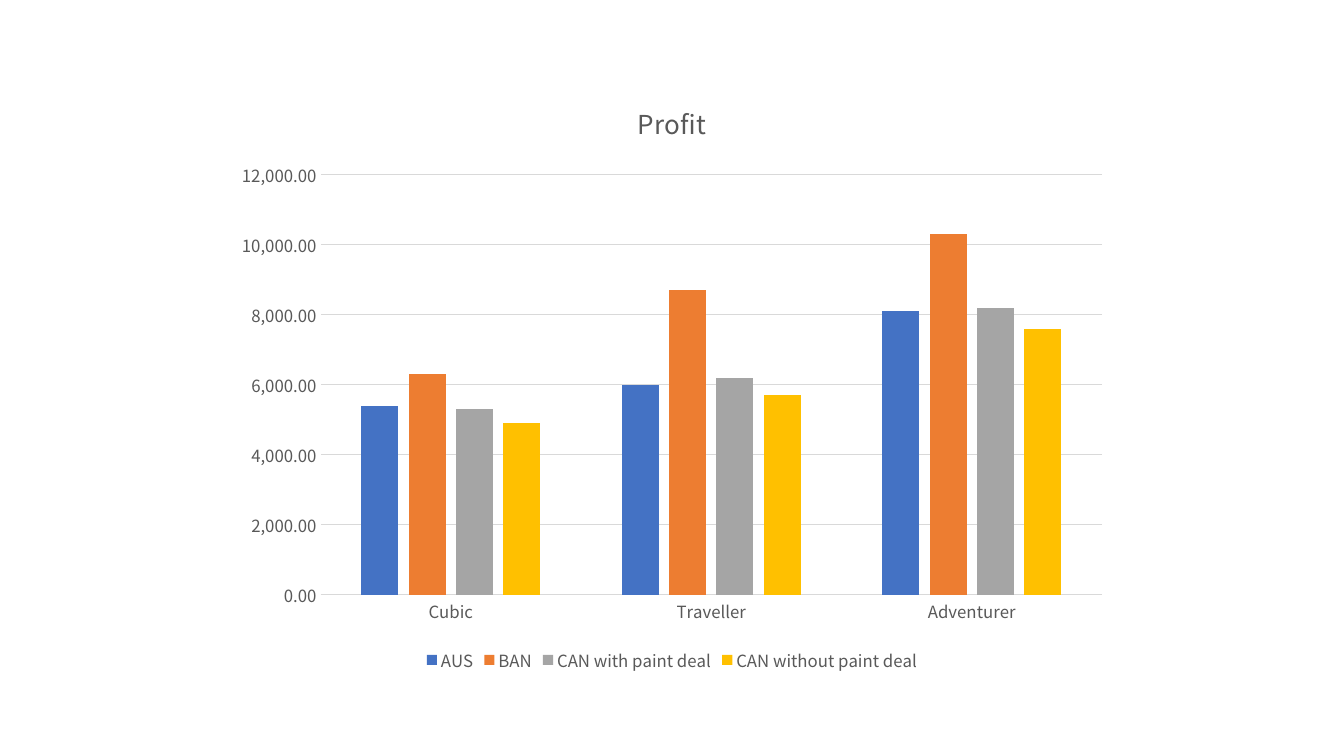
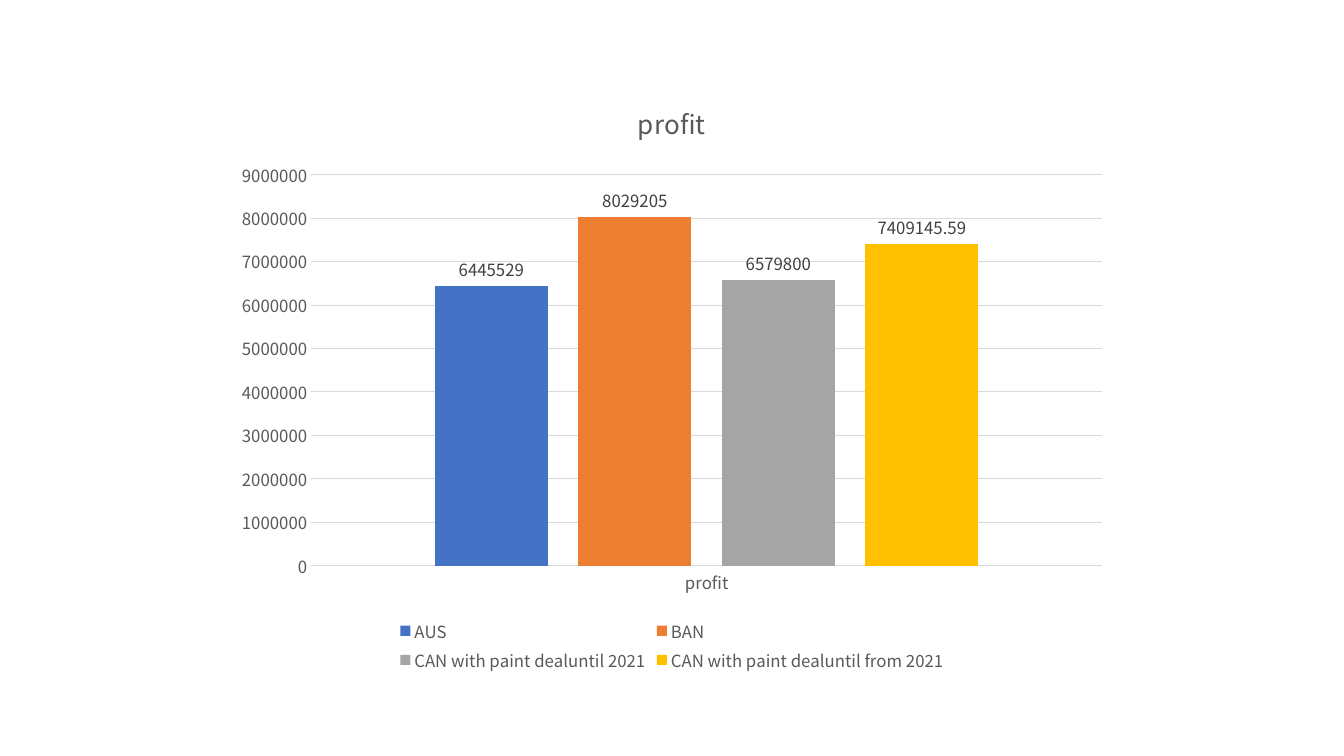
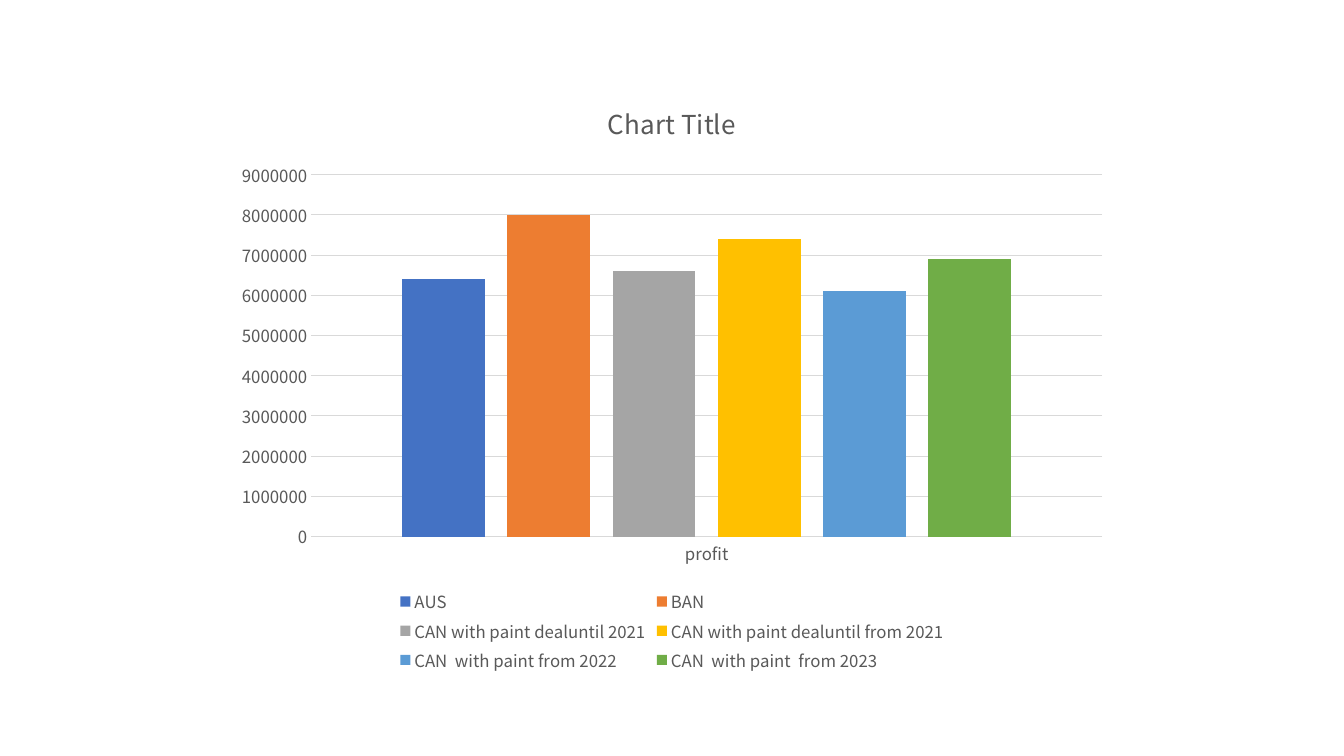
from pptx import Presentation
from pptx import util as u
from pptx.chart.data import CategoryChartData
from pptx.dml.color import RGBColor
from pptx.enum import chart as ce

FONT = "Noto Sans CJK KR"
TEXT = RGBColor(0x59, 0x59, 0x59)
LABEL = RGBColor(0x40, 0x40, 0x40)
GRID = RGBColor(0xD9, 0xD9, 0xD9)
SERIES_COLORS = [
    RGBColor(0x44, 0x72, 0xC4),
    RGBColor(0xED, 0x7D, 0x31),
    RGBColor(0xA5, 0xA5, 0xA5),
    RGBColor(0xFF, 0xC0, 0x00),
    RGBColor(0x5B, 0x9B, 0xD5),
    RGBColor(0x70, 0xAD, 0x47),
]

MODELS = {
    "AUS": [5400, 6000, 8100],
    "BAN": [6300, 8700, 10300],
    "CAN with paint deal": [5300, 6200, 8200],
    "CAN without paint deal": [4900, 5700, 7600],
}
PAINT_DEALS = {
    "AUS": [6445529],
    "BAN": [8029205],
    "CAN with paint dealuntil 2021": [6579800],
    "CAN with paint dealuntil from 2021": [7409145.59],
}
ALL_YEARS = {
    "AUS": [6400000],
    "BAN": [8000000],
    "CAN with paint dealuntil 2021": [6600000],
    "CAN with paint dealuntil from 2021": [7400000],
    "CAN\u00a0 with paint from 2022": [6100000],
    "CAN\u00a0 with paint\u00a0 from 2023": [6900000],
}

prs = Presentation()
prs.slide_width, prs.slide_height = u.Inches(13.33), u.Inches(7.5)
WIDTH = prs.slide_width * 2 // 3
HEIGHT = WIDTH * 2 // 3
CHART_BOX = ((prs.slide_width - WIDTH) // 2, (prs.slide_height - HEIGHT) // 2, WIDTH, HEIGHT)


def style_font(font, size=12, color=TEXT):
    font.name = FONT
    font.size = u.Pt(size)
    font.bold = False
    font.color.rgb = color


def style_line(line):
    line.color.rgb = GRID
    line.width = u.Pt(0.75)


def style_axes(chart, top, step, number_format):
    for axis in (chart.category_axis, chart.value_axis):
        axis.major_tick_mark = axis.minor_tick_mark = ce.XL_TICK_MARK.NONE
        style_font(axis.tick_labels.font)
    style_line(chart.category_axis.format.line)
    values = chart.value_axis
    values.minimum_scale, values.maximum_scale, values.major_unit = 0, top, step
    values.format.line.fill.background()
    values.has_major_gridlines = True
    style_line(values.major_gridlines.format.line)
    values.tick_labels.number_format = number_format
    values.tick_labels.number_format_is_linked = False


def profit_chart(s, box, title, categories, series, top, step, number_format="General", labels=False):
    data = CategoryChartData()
    data.categories = categories
    for name, values in series.items():
        data.add_series(name, values)
    chart = s.shapes.add_chart(ce.XL_CHART_TYPE.COLUMN_CLUSTERED, *box, data).chart
    style_font(chart.font)

    chart.has_title = True
    tf = chart.chart_title.text_frame
    tf.text = title
    style_font(tf.paragraphs[0].runs[0].font, 18.6)
    chart.chart_title.include_in_layout = False

    chart.has_legend = True
    chart.legend.position = ce.XL_LEGEND_POSITION.BOTTOM
    chart.legend.include_in_layout = False
    style_font(chart.legend.font)
    style_axes(chart, top, step, number_format)

    plot = chart.plots[0]
    plot.gap_width, plot.overlap = 219, -27
    plot.vary_by_categories = False
    for bars, color in zip(plot.series, SERIES_COLORS):
        bars.format.fill.solid()
        bars.format.fill.fore_color.rgb = color
        bars.invert_if_negative = False
        if labels:
            bars.data_labels.show_value = True
            bars.data_labels.position = ce.XL_LABEL_POSITION.OUTSIDE_END
            style_font(bars.data_labels.font, color=LABEL)


def add_slide():
    return prs.slides.add_slide(prs.slide_layouts[6])


profit_chart(add_slide(), CHART_BOX, "Profit", ["Cubic", "Traveller", "Adventurer"], MODELS,
             12000, 2000, "#,##0.00")
profit_chart(add_slide(), CHART_BOX, "profit", ["profit"], PAINT_DEALS, 9000000, 1000000, labels=True)
profit_chart(add_slide(), CHART_BOX, "Chart Title", ["profit"], ALL_YEARS, 9000000, 1000000)

prs.save("out.pptx")
